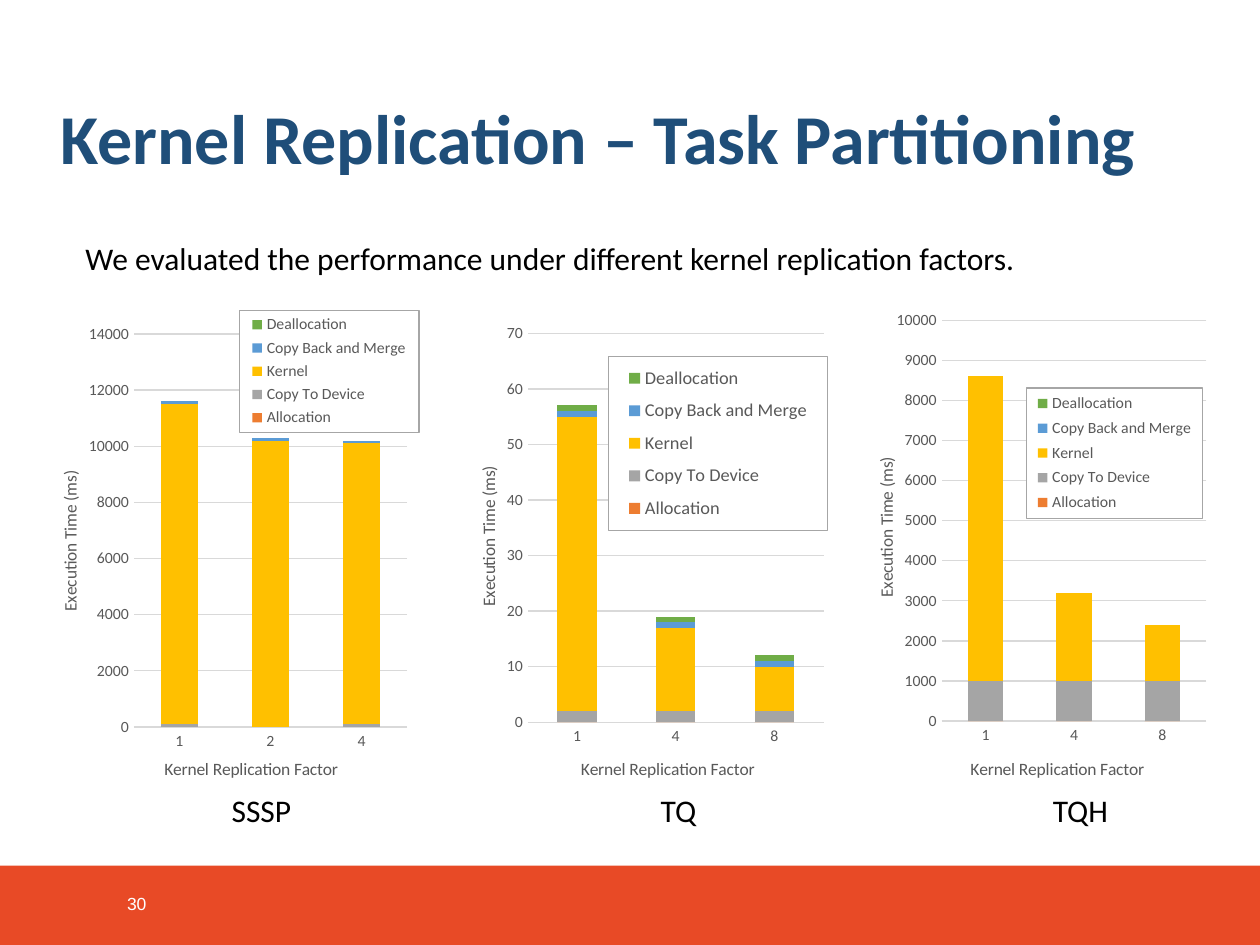
from lxml.etree import SubElement
from pptx import Presentation
from pptx.chart.data import CategoryChartData
from pptx.dml.color import RGBColor
from pptx.enum.chart import XL_CHART_TYPE, XL_LEGEND_POSITION, XL_TICK_MARK
from pptx.enum.shapes import MSO_SHAPE
from pptx.enum.text import MSO_ANCHOR, MSO_AUTO_SIZE, PP_ALIGN
from pptx.oxml import parse_xml
from pptx.oxml.ns import nsdecls, qn
from pptx.util import Inches, Pt

COLORS = {"band": "E84A26", "title": "1F4E79", "text": "000000", "white": "FFFFFF",
          "axis": "595959", "grid": "D9D9D9", "frame": "A6A6A6"}
SERIES = [("Allocation", "ED7D31"), ("Copy To Device", "A5A5A5"), ("Kernel", "FFC000"),
          ("Copy Back and Merge", "5B9BD5"), ("Deallocation", "70AD47")]
TITLE = "Kernel Replication – Task Partitioning"
INTRO = "We evaluated the performance under different kernel replication factors."
X_TITLE, Y_TITLE = "Kernel Replication Factor", "Execution Time (ms)"

# Layouts are fractions of the chart: x, y and, for plot and legend, width, height
BENCHMARKS = [
    {"name": "SSSP", "label_x": 1.59, "box": (0.38, 2.46, 3.1, 3.77),
     "cats": ["1", "2", "4"], "max": 14000, "step": 2000, "legend_size": 9,
     "values": [(0, 0, 0), (100, 0, 100), (11400, 10200, 10000), (100, 100, 100), (0, 0, 0)],
     "plot": (0.22, 0.05, 0.7, 0.84), "legend": (0.49, 0, 0.46, 0.26),
     "x_title": (0.29, 0.95), "y_title": (0.02, 0.34)},
    {"name": "TQ", "label_x": 4.9, "box": (3.64, 2.46, 3.05, 3.77),
     "cats": ["1", "4", "8"], "max": 70, "step": 10, "legend_size": 10.5,
     "values": [(0, 0, 0), (2, 2, 2), (53, 15, 8), (1, 1, 1), (1, 1, 1)],
     "plot": (0.18, 0.05, 0.77, 0.83), "legend": (0.39, 0.1, 0.57, 0.37),
     "x_title": (0.31, 0.95), "y_title": (0.04, 0.33)},
    {"name": "TQH", "label_x": 8.09, "box": (6.86, 2.35, 2.92, 3.88),
     "cats": ["1", "4", "8"], "max": 10000, "step": 1000, "legend_size": 9,
     "values": [(0, 0, 0), (1000, 1000, 1000), (7600, 2200, 1400), (0, 0, 0), (0, 0, 0)],
     "plot": (0.21, 0.05, 0.72, 0.83), "legend": (0.44, 0.19, 0.48, 0.27),
     "x_title": (0.28, 0.95), "y_title": (0.02, 0.33)},
]


def rgb(name):
    return RGBColor.from_string(COLORS.get(name, name))


def style(font, size, color, name="Calibri", bold=False):
    font.size, font.name, font.bold = Pt(size), name, bold
    font.color.rgb = rgb(color)


def add_run(tf, text, size, color, **kw):
    r = tf.paragraphs[0].add_run()
    r.text = text
    style(r.font, size, color, **kw)


def add_text(slide, box, text, size=18, color="text", align=PP_ALIGN.LEFT,
             anchor=MSO_ANCHOR.TOP, **kw):
    tf = slide.shapes.add_textbox(*map(Inches, box)).text_frame
    tf.word_wrap = True
    tf.auto_size = MSO_AUTO_SIZE.SHAPE_TO_FIT_TEXT
    tf.vertical_anchor = anchor
    tf.paragraphs[0].alignment = align
    add_run(tf, text, size, color, **kw)


def place(parent, spot, inner=False):
    """Give a chart part a manual layout, in fractions of the chart."""
    for old in parent.findall(qn("c:layout")):
        parent.remove(old)
    layout = parse_xml(f"<c:layout {nsdecls('c')}/>")
    manual = SubElement(layout, qn("c:manualLayout"))
    settings = [("layoutTarget", "inner")] if inner else []
    settings += [("xMode", "edge"), ("yMode", "edge"), *zip("xywh", spot)]
    for tag, value in settings:
        SubElement(manual, qn(f"c:{tag}")).set("val", str(value))
    overlay = parent.find(qn("c:overlay"))
    if overlay is None:
        parent.insert(0, layout)
    else:
        overlay.addprevious(layout)


def style_axis(axis, title, spot):
    axis.major_tick_mark = axis.minor_tick_mark = XL_TICK_MARK.NONE
    style(axis.tick_labels.font, 9, "axis")
    add_run(axis.axis_title.text_frame, title, 10, "axis")
    place(axis.axis_title._element, spot)


def style_line(line, color):
    line.color.rgb = rgb(color)
    line.width = Pt(0.75)


def add_legend(chart, size, spot):
    chart.has_legend = True
    legend = chart.legend
    legend.position = XL_LEGEND_POSITION.RIGHT
    legend.include_in_layout = True
    style(legend.font, size, "axis")
    place(legend._element, spot)
    legend._element.find(qn("c:overlay")).addnext(parse_xml(
        f"<c:spPr {nsdecls('c', 'a')}>"
        f"<a:solidFill><a:srgbClr val='{COLORS['white']}'/></a:solidFill>"
        f"<a:ln w='9525'><a:solidFill><a:srgbClr val='{COLORS['frame']}'/></a:solidFill></a:ln>"
        "</c:spPr>"))


def add_benchmark(slide, b):
    data = CategoryChartData()
    data.categories = b["cats"]
    for (name, _), values in zip(SERIES, b["values"]):
        data.add_series(name, values)
    chart = slide.shapes.add_chart(
        XL_CHART_TYPE.COLUMN_STACKED, *map(Inches, b["box"]), data).chart
    chart.has_title = False
    style(chart.font, 10, "text")

    plot = chart.plots[0]
    plot.gap_width, plot.overlap, plot.vary_by_categories = 150, 100, False
    for series, (_, color) in zip(plot.series, SERIES):
        series.format.fill.solid()
        series.format.fill.fore_color.rgb = rgb(color)
    place(chart._chartSpace.chart.plotArea, b["plot"], inner=True)

    style_axis(chart.category_axis, X_TITLE, b["x_title"])
    style_line(chart.category_axis.format.line, "grid")
    axis = chart.value_axis
    style_axis(axis, Y_TITLE, b["y_title"])
    axis.minimum_scale, axis.maximum_scale, axis.major_unit = 0, b["max"], b["step"]
    axis.tick_labels.number_format = "General"
    axis.tick_labels.number_format_is_linked = False
    axis.format.line.fill.background()
    style_line(axis.major_gridlines.format.line, "grid")
    add_legend(chart, b["legend_size"], b["legend"])


def main():
    prs = Presentation()
    prs.slide_width, prs.slide_height = Inches(10), Inches(7.5)
    slide = prs.slides.add_slide(prs.slide_layouts[5])

    band = slide.shapes.add_shape(
        MSO_SHAPE.RECTANGLE, *map(Inches, (0, 6.87, 10, 0.63)))
    band.shadow.inherit = False
    band.fill.solid()
    band.fill.fore_color.rgb = rgb("band")
    band.line.fill.background()
    add_text(slide, (0.91, 6.97, 0.52, 0.4), "30", 10, "white",
             anchor=MSO_ANCHOR.MIDDLE, name="Arial")

    title = slide.shapes.title
    title.left, title.top, title.width, title.height = map(Inches, (0.38, 0.4, 9.19, 1.45))
    tf = title.text_frame
    tf.auto_size = MSO_AUTO_SIZE.NONE
    tf.vertical_anchor = MSO_ANCHOR.MIDDLE
    tf.paragraphs[0].alignment = PP_ALIGN.LEFT
    tf.paragraphs[0].line_spacing = 0.9
    add_run(tf, TITLE, 40, "title", bold=True)

    add_text(slide, (0.58, 1.85, 8.11, 0.4), INTRO)
    for b in BENCHMARKS:
        add_benchmark(slide, b)
        add_text(slide, (b["label_x"], 6.23, 0.97, 0.4), b["name"], align=PP_ALIGN.CENTER)
    prs.save("out.pptx")


if __name__ == "__main__":
    main()
